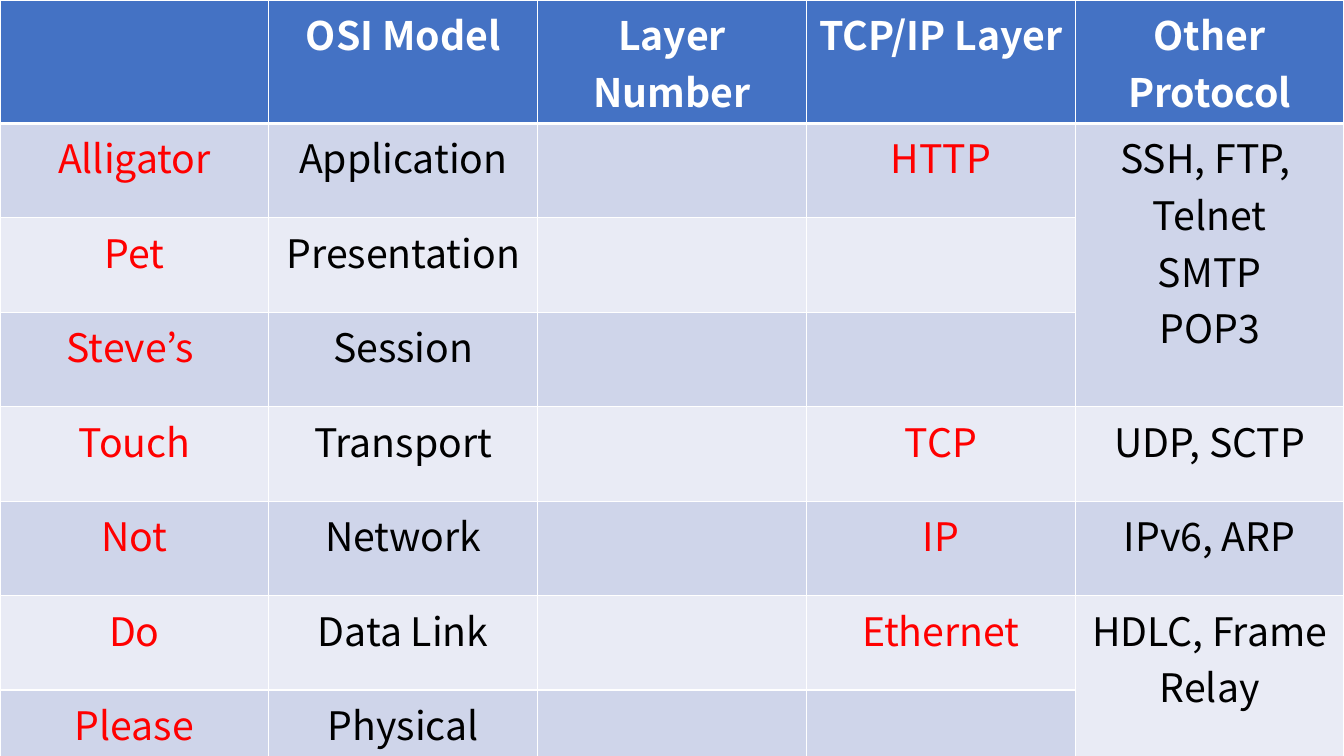
from lxml import etree
from pptx import Presentation
from pptx.dml.color import RGBColor
from pptx.enum.text import PP_ALIGN
from pptx.oxml.ns import qn
from pptx.util import Cm, Pt

FONT, SIZE = "Noto Sans CJK KR", 28
WHITE, BLACK, RED, BLUE = "FFFFFF", "000000", "FF0000", "4472C4"
BANDS = ["CFD5EA", "E9EBF5"]
ROW_HEIGHT = Cm(2.38)
HEADER = ["", "OSI Model", "Layer Number", "TCP/IP Layer", "Other Protocol"]
LAYERS = [
    ("Alligator", "Application", "", "HTTP", "SSH, FTP, \nTelnet\nSMTP\nPOP3"),
    ("Pet", "Presentation", "", "", ""),
    ("Steve’s ", "Session", "", "", ""),
    ("Touch", "Transport", "", "TCP", "UDP, SCTP"),
    ("Not", "Network", "", "IP", "IPv6, ARP"),
    ("Do", "Data Link", "", "Ethernet", "HDLC, Frame Relay"),
    ("Please", "Physical", "", "", ""),
]
COLUMN_COLOURS = [RED, BLACK, BLACK, RED, BLACK]
PROTOCOL_COLUMN = 4
PROTOCOL_SPANS = [(1, 3), (6, 7)]


def rgb(value):
    """Turn a hex string into a colour."""
    return RGBColor.from_string(value)


def set_borders(cell, widths):
    """Draw white lines of the given point widths round a cell."""
    tc_pr = cell._tc.get_or_add_tcPr()
    for side, width in widths.items():
        ln = etree.SubElement(tc_pr, qn(f"a:ln{side}"), w=str(Pt(width)))
        fill = etree.SubElement(ln, qn("a:solidFill"))
        etree.SubElement(fill, qn("a:srgbClr"), val=WHITE)


def style_cell(cell, text, fill, colour, bold):
    """Write centred text on a filled cell."""
    cell.fill.solid()
    cell.fill.fore_color.rgb = rgb(fill)
    cell.text_frame.text = text
    for p in cell.text_frame.paragraphs:
        p.alignment = PP_ALIGN.CENTER
        p.font.size = Pt(SIZE)
        for r in p.runs:
            r.font.name, r.font.size, r.font.bold = FONT, Pt(SIZE), bold
            r.font.color.rgb = rgb(colour)


def add_layer_table(s, width):
    """Add the table of network layers across the slide."""
    rows = [HEADER, *LAYERS]
    table = s.shapes.add_table(len(rows), len(HEADER), 0, 0, width,
                               ROW_HEIGHT * len(rows)).table
    for first, last in PROTOCOL_SPANS:
        table.cell(first, PROTOCOL_COLUMN).merge(table.cell(last, PROTOCOL_COLUMN))
    for i, row in enumerate(rows):
        for j, text in enumerate(row):
            cell = table.cell(i, j)
            set_borders(cell, {"L": 1, "R": 1, "T": 3 if i == 1 else 1,
                               "B": 3 if i == 0 else 1})
            fill = BANDS[(i - 1) % 2] if i else BLUE
            colour = COLUMN_COLOURS[j] if i else WHITE
            style_cell(cell, text, fill, colour, i == 0)


prs = Presentation()
prs.slide_width, prs.slide_height = Cm(33.87), Cm(19.05)
s = prs.slides.add_slide(prs.slide_layouts[6])
add_layer_table(s, prs.slide_width)
prs.save("out.pptx")
